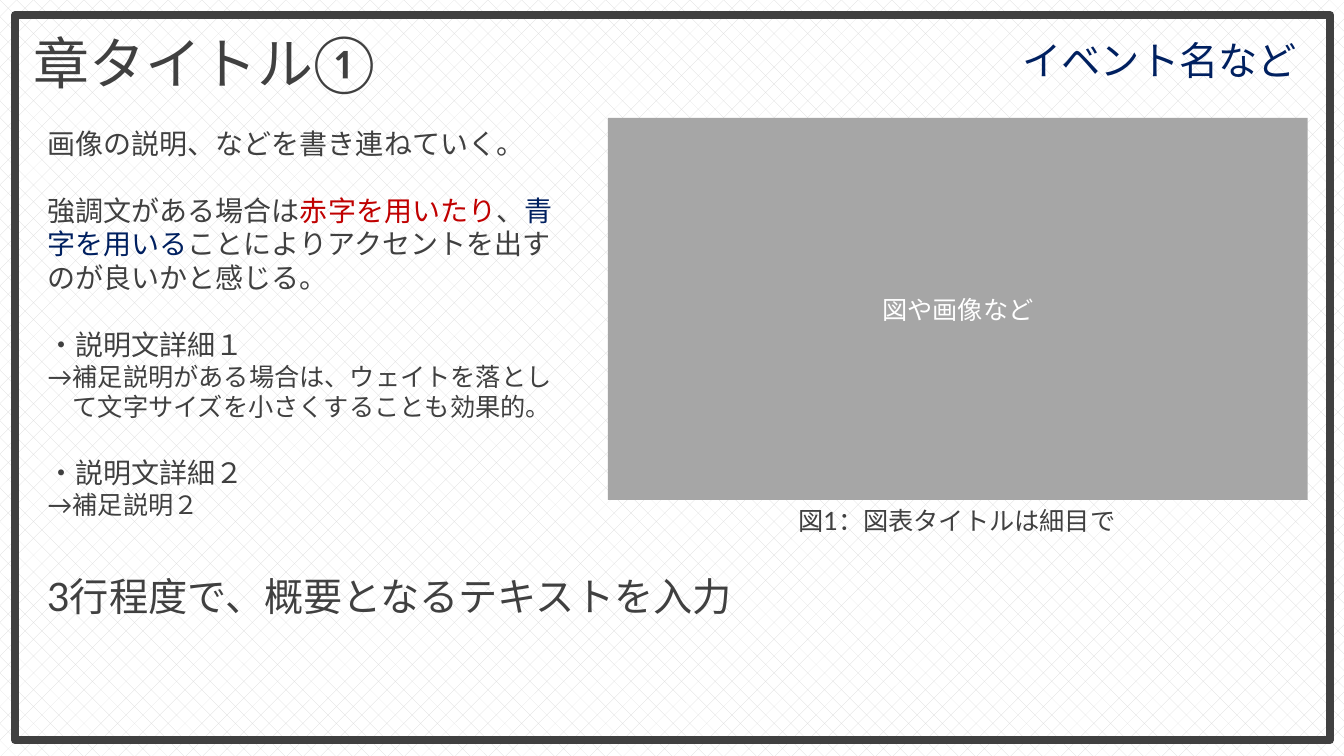
from lxml.etree import SubElement
from pptx import Presentation
from pptx.dml.color import RGBColor
from pptx.enum.dml import MSO_PATTERN
from pptx.enum.shapes import MSO_SHAPE
from pptx.enum.text import MSO_ANCHOR, MSO_AUTO_SIZE, PP_ALIGN
from pptx.oxml.ns import qn
from pptx.util import Inches, Pt

COLORS = {"text": "404040", "navy": "002060", "red": "C00000",
          "gray": "A6A6A6", "white": "FFFFFF", "hatch": "D9D9D9"}


def rgb(name):
    return RGBColor.from_string(COLORS[name])


class SlideBuilder:
    """Hold the text style and the current slide, and add elements to it."""

    frame_style = {"word_wrap": True, "auto_size": MSO_AUTO_SIZE.NONE}

    def __init__(self, prs, font="Lato"):
        self.font = font
        self.s = prs.slides.add_slide(prs.slide_layouts[1])

    def background(self, fore, back):
        fill = self.s.background.fill
        fill.patterned()
        fill.pattern = MSO_PATTERN.DOTTED_DIAMOND
        fill.fore_color.rgb, fill.back_color.rgb = rgb(fore), rgb(back)

    def place(self, sp, box):
        for name, value in zip(("left", "top", "width", "height"), box):
            setattr(sp, name, Inches(value))

    def fill_text(self, sp, paragraphs, anchor=MSO_ANCHOR.TOP):
        tf = sp.text_frame
        for name, value in {**self.frame_style, "vertical_anchor": anchor}.items():
            setattr(tf, name, value)
        for i, (runs, fmt) in enumerate(paragraphs):
            p = tf.add_paragraph() if i else tf.paragraphs[0]
            self.paragraph(p, runs, **fmt)

    def paragraph(self, p, runs, size=20, color="text", align=PP_ALIGN.LEFT,
                  before=0, hang=0, font=None):
        for name, value in {"alignment": align, "space_before": Pt(before)}.items():
            setattr(p, name, value)
        pPr = p._p.get_or_add_pPr()
        pPr.set("marL", str(Inches(hang)))
        pPr.set("indent", str(-Inches(hang)))
        SubElement(pPr, qn("a:buNone"))
        for text, accent in [(runs, None)] if isinstance(runs, str) else runs:
            r = p.add_run()
            r.text = text
            for name, value in {"name": font or self.font, "size": Pt(size)}.items():
                setattr(r.font, name, value)
            r.font.color.rgb = rgb(accent or color)
            SubElement(r._r.get_or_add_rPr(), qn("a:ea"), typeface=font or self.font)

    def placeholder(self, idx, box, paragraphs):
        sp = self.s.placeholders[idx]
        self.place(sp, box)
        self.fill_text(sp, paragraphs)

    def textbox(self, box, text, **fmt):
        sp = self.s.shapes.add_textbox(*map(Inches, box))
        self.fill_text(sp, [(text, fmt)])

    def rect(self, box, fill=None, line=None, width=0):
        sp = self.s.shapes.add_shape(MSO_SHAPE.RECTANGLE, *map(Inches, box))
        sp.shadow.inherit = False
        for part, color in ((sp.fill, fill), (sp.line.fill, line)):
            if color:
                part.solid()
                part.fore_color.rgb = rgb(color)
            else:
                part.background()
        if line:
            sp.line.width = Pt(width)
        return sp


def main():
    prs = Presentation()
    prs.slide_width, prs.slide_height = Inches(13.33), Inches(7.5)
    b = SlideBuilder(prs)
    gap, note = {"before": 24}, {"size": 18, "hang": 0.25}

    b.background("hatch", "white")
    b.rect((0.15, 0.15, 13.04, 7.19), line="text", width=6)
    b.placeholder(0, (0.23, 0.23, 6.09, 0.77), [("章タイトル①", {"size": 40})])
    b.textbox((7.96, 0.31, 5, 0.57), "イベント名など", size=28, color="navy",
              align=PP_ALIGN.RIGHT, font="Noto Sans CJK JP")
    figure = b.rect((6.03, 1.17, 6.94, 3.79), fill="gray")
    b.fill_text(figure, [("図や画像など", {"size": 18, "color": "white",
                                     "align": PP_ALIGN.CENTER})], MSO_ANCHOR.MIDDLE)
    b.placeholder(1, (0.37, 1.2, 5.43, 4.38), [
        ("画像の説明、などを書き連ねていく。", {}),
        ([("強調文がある場合は", None), ("赤字を用いたり", "red"), ("、", None),
          ("青字を用いる", "navy"),
          ("ことによりアクセントを出すのが良いかと感じる。", None)], gap),
        ("・説明文詳細１", gap),
        ("→補足説明がある場合は、ウェイトを落として文字サイズを小さくすることも効果的。", note),
        ("・説明文詳細２", gap),
        ("→補足説明２", note),
    ])
    b.textbox((6.02, 4.96, 6.94, 0.4), "図1：図表タイトルは細目で", size=18,
              align=PP_ALIGN.CENTER)
    b.textbox((0.37, 5.63, 12.59, 1.51), "3行程度で、概要となるテキストを入力", size=28)
    prs.save("out.pptx")


if __name__ == "__main__":
    main()
